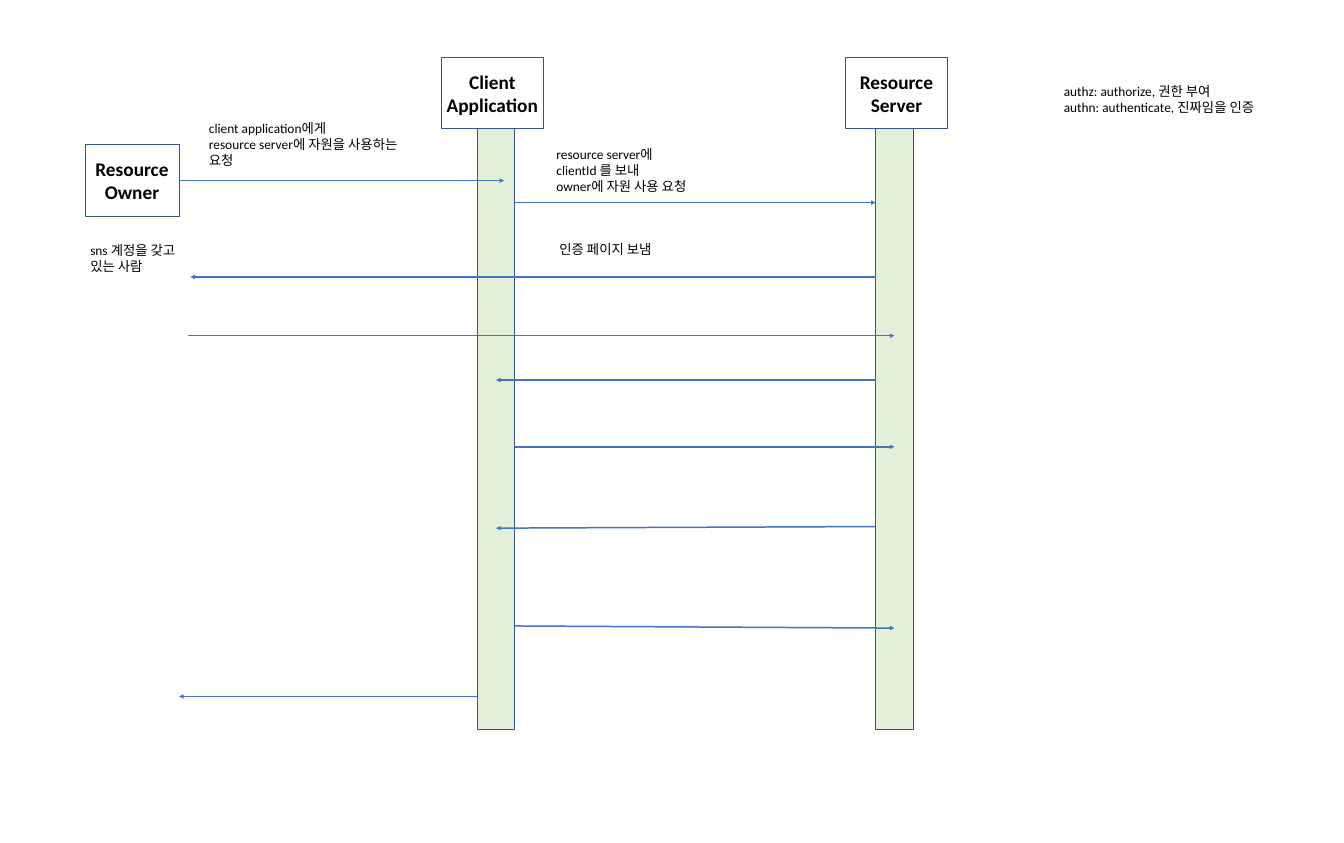
from dataclasses import dataclass

from lxml.etree import SubElement
from pptx import Presentation
from pptx.dml.color import RGBColor
from pptx.enum.shapes import MSO_CONNECTOR, MSO_SHAPE
from pptx.enum.text import MSO_ANCHOR, MSO_AUTO_SIZE, PP_ALIGN
from pptx.oxml.ns import qn
from pptx.util import Inches, Pt


@dataclass(frozen=True)
class Theme:
    font: str = "Calibri"
    heading_size: int = 26
    note_size: int = 18
    text: str = "000000"
    paper: str = "FFFFFF"
    lifeline: str = "E2F0D9"
    outline: str = "325491"
    message: str = "4472C4"
    outline_width: int = 1
    message_width: int = 2


class SequenceDiagram:
    def __init__(self, slide, theme):
        self.slide = slide
        self.theme = theme

    def add_lines(self, frame, lines, size, bold=False, align=PP_ALIGN.LEFT):
        frame.word_wrap = True
        for index, line in enumerate(lines):
            paragraph = frame.paragraphs[0] if index == 0 else frame.add_paragraph()
            paragraph.alignment = align
            run = paragraph.add_run()
            run.text = line
            run.font.name = self.theme.font
            run.font.size = Pt(size)
            run.font.bold = bold
            run.font.color.rgb = RGBColor.from_string(self.theme.text)

    def box(self, left, top, width, height, fill):
        box = self.slide.shapes.add_shape(
            MSO_SHAPE.RECTANGLE, Inches(left), Inches(top), Inches(width), Inches(height))
        box.shadow.inherit = False
        box.fill.solid()
        box.fill.fore_color.rgb = RGBColor.from_string(fill)
        box.line.color.rgb = RGBColor.from_string(self.theme.outline)
        box.line.width = Pt(self.theme.outline_width)
        return box

    def participant(self, left, top, width, height, lines):
        frame = self.box(left, top, width, height, self.theme.paper).text_frame
        frame.vertical_anchor = MSO_ANCHOR.MIDDLE
        frame.margin_left = frame.margin_right = Inches(0.05)
        self.add_lines(frame, lines, self.theme.heading_size, True, PP_ALIGN.CENTER)

    def lifeline(self, left, top, width, height):
        self.box(left, top, width, height, self.theme.lifeline)

    def note(self, left, top, width, height, lines):
        frame = self.slide.shapes.add_textbox(
            Inches(left), Inches(top), Inches(width), Inches(height)).text_frame
        self.add_lines(frame, lines, self.theme.note_size)
        frame.auto_size = MSO_AUTO_SIZE.SHAPE_TO_FIT_TEXT

    def message(self, start, end, start_y, end_y):
        arrow = self.slide.shapes.add_connector(
            MSO_CONNECTOR.STRAIGHT, Inches(start), Inches(start_y), Inches(end), Inches(end_y))
        arrow.line.color.rgb = RGBColor.from_string(self.theme.message)
        arrow.line.width = Pt(self.theme.message_width)
        properties = arrow.element.spPr
        SubElement(properties.find(qn("a:ln")), qn("a:tailEnd"), type="triangle")
        SubElement(properties, qn("a:effectLst"))


presentation = Presentation()
presentation.slide_width = Inches(25.14)
presentation.slide_height = Inches(15.77)
blank_layout = presentation.slide_layouts[6]
diagram = SequenceDiagram(presentation.slides.add_slide(blank_layout), Theme())

# Participants
HEAD_TOP, HEAD_HEIGHT, HEAD_WIDTH = 1.07, 1.34, 1.92
OWNER_LEFT, OWNER_WIDTH = 1.59, 1.76
diagram.participant(OWNER_LEFT, 2.71, OWNER_WIDTH, HEAD_HEIGHT, ["Resource", "Owner"])
diagram.participant(8.25, HEAD_TOP, HEAD_WIDTH, HEAD_HEIGHT, ["Client", "Application"])
diagram.participant(15.81, HEAD_TOP, HEAD_WIDTH, HEAD_HEIGHT, ["Resource", "Server"])

# Lifelines
CLIENT_LEFT, SERVER_LEFT, LIFELINE_WIDTH = 8.93, 16.38, 0.7
for lifeline_left in (CLIENT_LEFT, SERVER_LEFT):
    diagram.lifeline(lifeline_left, HEAD_TOP + HEAD_HEIGHT, LIFELINE_WIDTH, 11.23)

# Messages: start x, end x, start y, end y
owner_right = OWNER_LEFT + OWNER_WIDTH
client_right = CLIENT_LEFT + LIFELINE_WIDTH
client_middle = CLIENT_LEFT + LIFELINE_WIDTH / 2
server_middle = SERVER_LEFT + LIFELINE_WIDTH / 2
for message in (
    (owner_right, 9.43, 3.38, 3.38),
    (client_right, SERVER_LEFT, 3.79, 3.79),
    (SERVER_LEFT, 3.56, 5.18, 5.18),
    (3.52, server_middle, 6.28, 6.28),
    (SERVER_LEFT, client_middle, 7.11, 7.11),
    (client_right, server_middle, 8.36, 8.36),
    (SERVER_LEFT, client_middle, 9.85, 9.88),
    (client_right, server_middle, 11.71, 11.75),
    (CLIENT_LEFT, owner_right, 13.03, 13.03),
):
    diagram.message(*message)

# Message captions and side notes
diagram.note(OWNER_LEFT, 4.48, 1.97, 0.71, ["sns 계정을 갖고 있는 사람"])
diagram.note(3.81, 2.2, 4.03, 1.01, [
    "client application에게", "resource server에 자원을 사용하는", "요청"])
diagram.note(10.31, 2.68, 3.74, 1.01, [
    "resource server에", "clientId 를 보내", "owner에 자원 사용 요청"])
diagram.note(10.31, 4.46, 3.74, 0.4, [" 인증 페이지 보냄"])
diagram.note(19.8, 1.5, 4.68, 0.71, [
    "authz: authorize, 권한 부여", "authn: authenticate, 진짜임을 인증"])

presentation.save("out.pptx")
